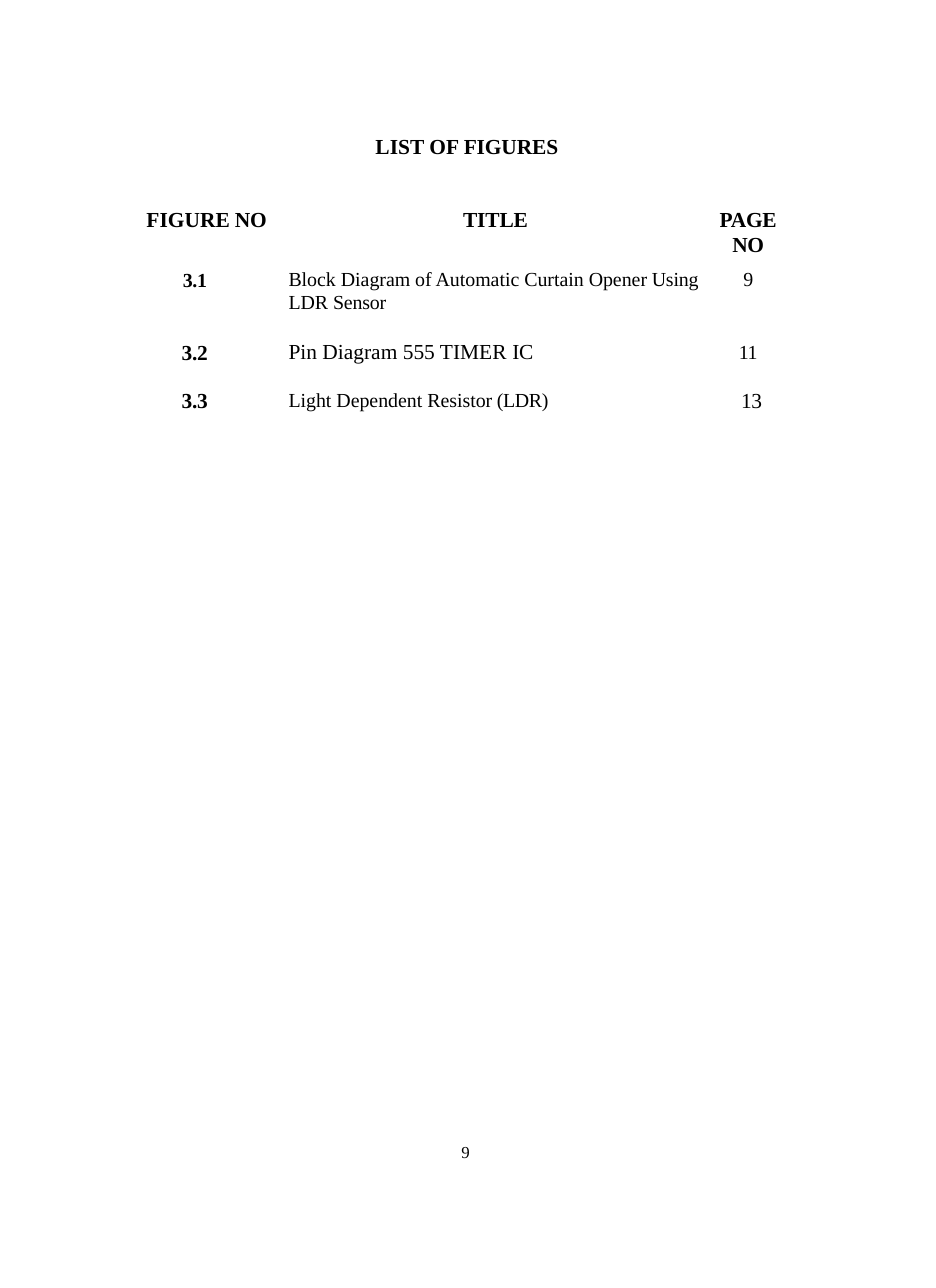
from pptx import Presentation
from pptx.dml.color import RGBColor
from pptx.enum.text import MSO_ANCHOR, MSO_AUTO_SIZE, PP_ALIGN
from pptx.util import Inches, Pt

BLACK = RGBColor(0, 0, 0)
FACE = "Times New Roman"
TOP = MSO_ANCHOR.TOP
GROW = MSO_AUTO_SIZE.SHAPE_TO_FIT_TEXT
LEFT, MID = PP_ALIGN.LEFT, PP_ALIGN.CENTER


def line(*runs, size=14, bold=False, indent=0, **form):
    return runs, {"size": Pt(size), "bold": bold}, indent, form


WIDTHS = (1.23, 3.92, 0.65)
ROWS = (
    (0.5, (
        (0, [line(("FIGURE", 0), (" NO", -20), bold=True, indent=0.03, line_spacing=Pt(15.2))]),
        (0, [line(("TITLE", -10), bold=True, indent=0.02, alignment=MID, line_spacing=Pt(15.2))]),
        (0, [line(("PAGE", -20), bold=True, indent=0.04, alignment=MID, line_spacing=Pt(14.8)),
             line(("NO", -20), bold=True, indent=0.04, alignment=MID, line_spacing=Pt(16.4))]),
    )),
    (0.6, (
        (0.05, [line(("3.1", -20), size=13, bold=True, indent=0.36)]),
        (0.04, [line(("Block Diagram of Automatic Curtain Opener ", 0), ("Using ", -10),
                     ("LDR ", 0), ("Sensor", -10), size=13, indent=0.09, line_spacing=1.03)]),
        (0.04, [line(("9", -50), size=13, indent=0.04, alignment=MID)]),
    )),
    (0.78, (
        (0.1, [line(("3.2", -20), bold=True, indent=0.35),
               line(("3.3", -20), bold=True, indent=0.35, line_spacing=Pt(16), space_before=Pt(15.3))]),
        (0.09, [line(("Pin Diagram 555 TIMER ", 0), ("IC", -20), indent=0.09),
                line(("Light Dependent Resistor", 0), (" (LDR)", -20), size=13, indent=0.09,
                     line_spacing=Pt(15), space_before=Pt(16.6))]),
        (0.11, [line(("11", -20), size=13, indent=0.26),
                line(("13", -20), indent=0.28, line_spacing=Pt(16.5), space_before=Pt(15.4))]),
    )),
)


def put(item, form):
    for name, value in form.items():
        setattr(item, name, value)


class Page:
    """Holds the text style and the current slide."""

    def __init__(self, deck):
        self.slide = deck.slides.add_slide(deck.slide_layouts[5])
        self.edge = dict.fromkeys(("margin_left", "margin_right", "margin_bottom"), 0)

    def fill_in(self, frame, lines):
        for i, (runs, font, indent, form) in enumerate(lines):
            para = frame.add_paragraph() if i else frame.paragraphs[0]
            put(para, {"alignment": LEFT, **form})
            props = para._p.get_or_add_pPr()
            props.set("marL", str(Inches(indent)))
            props.set("indent", "0")
            for text, gap in runs:
                run = para.add_run()
                run.text = text
                put(run.font, {"name": FACE, **font})
                run.font.color.rgb = BLACK
                run._r.get_or_add_rPr().set("spc", str(gap))

    def block(self, shape, box, top, lines):
        put(shape, dict(zip(("left", "top", "width", "height"), map(Inches, box))))
        put(shape.text_frame, {**self.edge, "margin_top": Inches(top), "word_wrap": True,
                               "vertical_anchor": TOP, "auto_size": GROW})
        self.fill_in(shape.text_frame, lines)

    def title(self, box, top, lines):
        self.block(self.slide.shapes.title, box, top, lines)

    def text(self, box, lines):
        self.block(self.slide.shapes.add_textbox(0, 0, 0, 0), box, 0, lines)

    def table(self, box, widths, rows):
        table = self.slide.shapes.add_table(len(rows), len(widths), *map(Inches, box)).table
        put(table, {"first_row": False, "horz_banding": False})
        for col, width in zip(table.columns, widths):
            col.width = Inches(width)
        for row, (height, cells) in zip(table.rows, rows):
            row.height = Inches(height)
            for cell, (top, lines) in zip(row.cells, cells):
                put(cell, {**self.edge, "margin_top": Inches(top), "vertical_anchor": TOP})
                cell.fill.background()
                self.fill_in(cell.text_frame, lines)


def main():
    deck = Presentation()
    put(deck, {"slide_width": Inches(8.5), "slide_height": Inches(11.7)})
    page = Page(deck)
    page.title((3.4, 1.2, 1.7, 0.26), 0.01,
               [line(("LIST OF ", 0), ("FIGURES", -10), bold=True, indent=0.01)])
    page.table((1.3, 1.9, 5.8, 1.89), WIDTHS, ROWS)
    page.text((4.13, 10.37, 0.25, 0.2),
              [line(("9", -20), size=11, indent=0.06, line_spacing=Pt(13.1))])
    deck.save("out.pptx")


if __name__ == "__main__":
    main()
